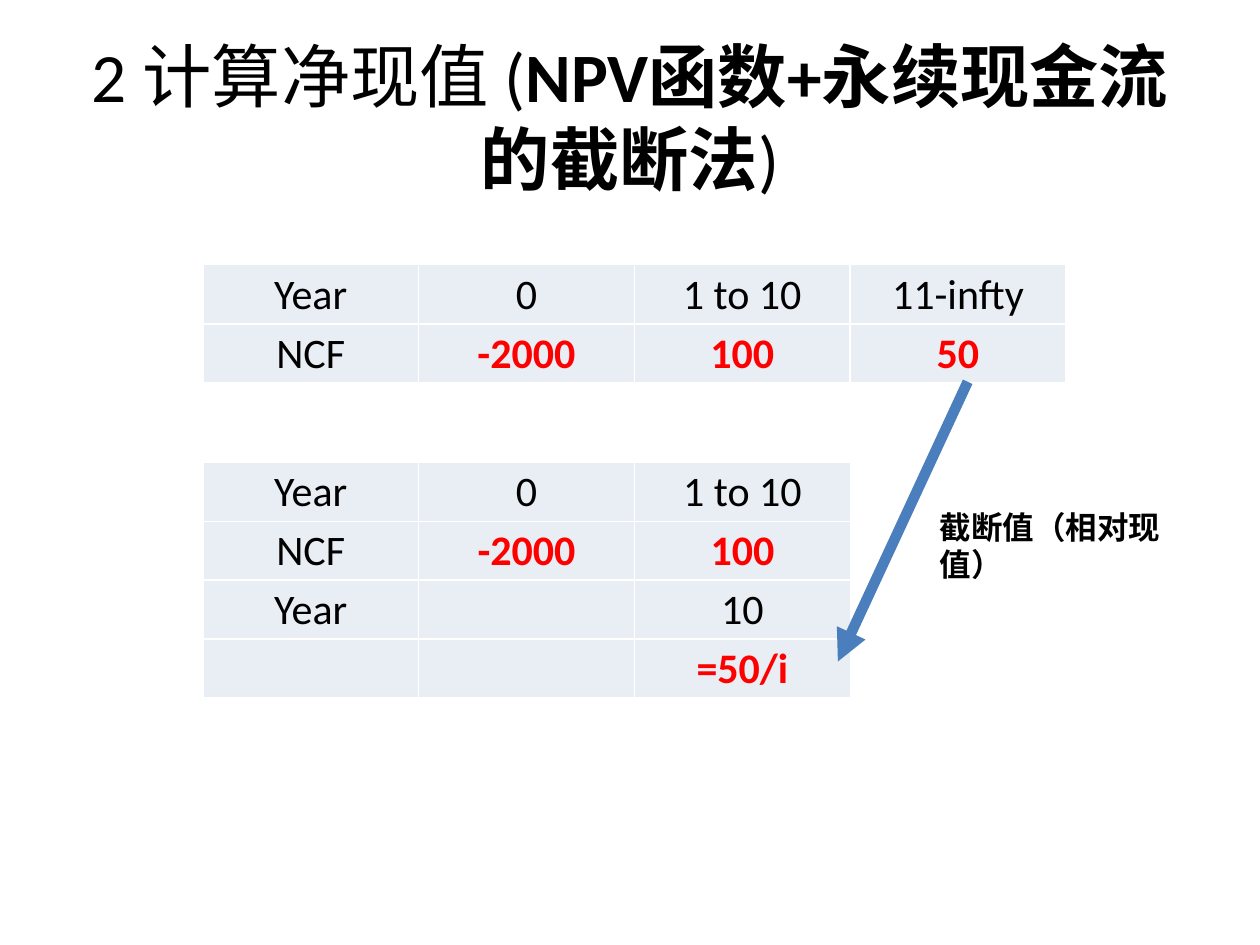
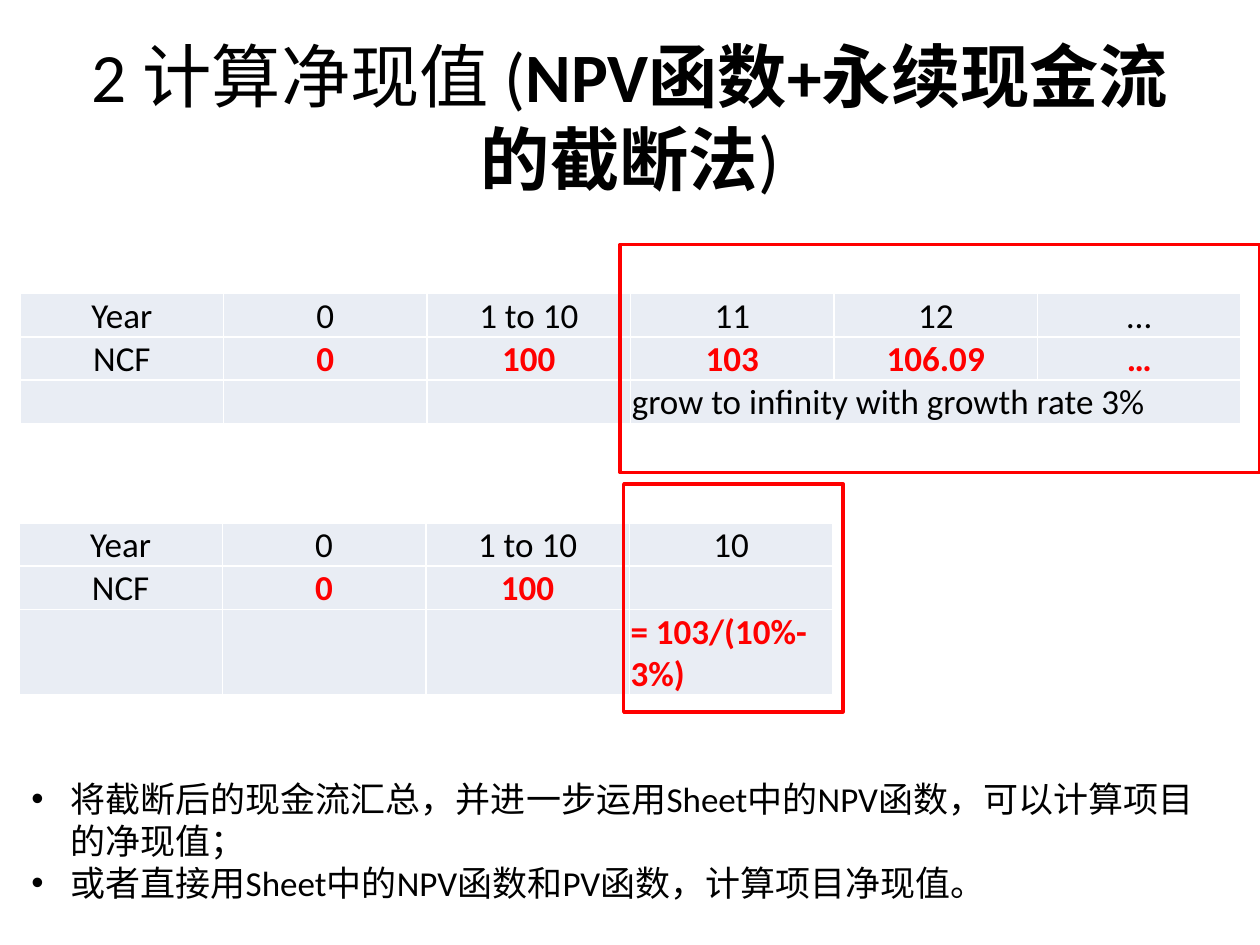
from lxml.etree import SubElement
from pptx import Presentation
from pptx.dml.color import RGBColor
from pptx.enum.shapes import MSO_CONNECTOR as CONN, MSO_SHAPE as SHAPE
from pptx.enum.text import MSO_ANCHOR as ANCHOR, PP_ALIGN as ALIGN
from pptx.oxml.ns import qn
from pptx.util import Inches, Pt

COLORS = {"text": "000000", "value": "FF0000", "cell": "E9EDF4",
          "border": "FFFFFF", "arrow": "4B7EBC"}
FONT = "Calibri"
TITLE = [("2 计算净现值 (", False), ("NPV函数+永续现金流的截断法", True), (")", False)]


def rgb(name):
    """Look up a palette colour."""
    return RGBColor.from_string(COLORS[name])


def set_font(p, size, color="text", bold=False):
    """Apply the deck font to a paragraph."""
    p.font.name, p.font.size, p.font.bold = FONT, Pt(size), bold
    p.font.color.rgb = rgb(color)


def add_text_frame(slide, box):
    """Add a wrapping text box and return its frame."""
    tf = slide.shapes.add_textbox(*map(Inches, box)).text_frame
    tf.word_wrap = True
    return tf


def add_title(slide, box=(0.5, 0.3, 9, 1.25)):
    """Add the title shared by both slides."""
    tf = add_text_frame(slide, box)
    tf.vertical_anchor = ANCHOR.MIDDLE
    p = tf.paragraphs[0]
    p.alignment = ALIGN.CENTER
    set_font(p, 39.6)
    for text, bold in TITLE:
        r = p.add_run()
        r.text, r.font.bold = text, bold


def style_cell(cell, anchor):
    """Give a cell its borders, fill, margins and anchor."""
    tc_pr = cell._tc.get_or_add_tcPr()
    for side in ("lnL", "lnR", "lnT", "lnB"):
        ln = SubElement(tc_pr, qn(f"a:{side}"), w=str(Pt(1)))
        fill = SubElement(ln, qn("a:solidFill"))
        SubElement(fill, qn("a:srgbClr"), val=COLORS["border"])
    cell.fill.solid()
    cell.fill.fore_color.rgb = rgb("cell")
    cell.margin_left = cell.margin_right = cell.margin_top = Inches(0.01)
    cell.margin_bottom = 0
    cell.vertical_anchor = anchor


def add_cash_flow_table(slide, box, rows, size, anchor, note=None):
    """Add a cash flow table; a note cell is left-aligned and runs to the row end."""
    n_cols = len(rows[0])
    frame = slide.shapes.add_table(len(rows), n_cols, *map(Inches, box))
    table = frame.table
    table.first_row = table.horz_banding = False
    for i, row in enumerate(rows):
        for j, text in enumerate(row):
            cell = table.cell(i, j)
            style_cell(cell, anchor)
            p = cell.text_frame.paragraphs[0]
            p.text = text
            p.alignment = ALIGN.LEFT if (i, j) == note else ALIGN.CENTER
            is_value = text.startswith("=") or (row[0] == "NCF" and j > 0)
            set_font(p, size, "value" if is_value else "text", is_value)
    if note and note[1] < n_cols - 1:
        table.cell(*note).merge(table.cell(note[0], n_cols - 1))


def add_arrow(slide, start, end):
    """Draw the thick arrow from the perpetuity to its truncated value."""
    line = slide.shapes.add_connector(CONN.STRAIGHT, *map(Inches, start + end))
    line.line.color.rgb = rgb("arrow")
    line.line.width = Pt(6)
    SubElement(line.line._get_or_add_ln(), qn("a:tailEnd"), type="triangle")
    SubElement(line._element.spPr, qn("a:effectLst"))


def add_highlight(slide, box):
    """Draw an unfilled frame around the truncated cash flows."""
    sp = slide.shapes.add_shape(SHAPE.RECTANGLE, *map(Inches, box))
    sp.shadow.inherit = False
    sp.fill.background()
    sp.line.color.rgb = rgb("value")
    sp.line.width = Pt(2)


def add_bullets(slide, box, items):
    """Add a bulleted list."""
    tf = add_text_frame(slide, box)
    for i, text in enumerate(items):
        p = tf.add_paragraph() if i else tf.paragraphs[0]
        p.text = text
        p_pr = p._p.get_or_add_pPr()
        p_pr.set("marL", str(Inches(0.31)))
        p_pr.set("indent", str(-Inches(0.31)))
        SubElement(p_pr, qn("a:buFont"), typeface="Arial")
        SubElement(p_pr, qn("a:buChar"), char="•")
        set_font(p, 20)


def build_level_slide(slide):
    """Build the slide with a level perpetuity."""
    add_title(slide)
    add_cash_flow_table(slide, (1.61, 2.1, 6.85, 0.94), [
        ["Year", "0", "1 to 10", "11-infty"],
        ["NCF", "-2000", "100", "50"]], 24, ANCHOR.MIDDLE)
    add_cash_flow_table(slide, (1.61, 3.67, 5.14, 1.87), [
        ["Year", "0", "1 to 10"],
        ["NCF", "-2000", "100"],
        ["Year", "", "10"],
        ["", "", "=50/i"]], 24, ANCHOR.MIDDLE)
    p = add_text_frame(slide, (7.36, 3.98, 2.34, 0.4)).paragraphs[0]
    p.text = "截断值（相对现值）"
    set_font(p, 18, bold=True)
    add_arrow(slide, (7.68, 3.03), (6.65, 5.25))


def build_growth_slide(slide):
    """Build the slide with a growing perpetuity."""
    add_title(slide)
    add_cash_flow_table(slide, (0.16, 2.33, 9.69, 1.02), [
        ["Year", "0", "1 to 10", "11", "12", "…"],
        ["NCF", "0", "100", "103", "106.09", "…"],
        ["", "", "", "grow to infinity with growth rate 3%", "", ""]],
        20, ANCHOR.BOTTOM, note=(2, 3))
    add_cash_flow_table(slide, (0.15, 4.15, 6.46, 1.02), [
        ["Year", "0", "1 to 10", "10"],
        ["NCF", "0", "100", ""],
        ["", "", "", "= 103/(10%-3%)"]], 20, ANCHOR.BOTTOM, note=(2, 3))
    add_highlight(slide, (4.92, 1.94, 5.08, 1.81))
    add_highlight(slide, (4.95, 3.84, 1.74, 1.81))
    add_bullets(slide, (0.15, 6.12, 9.69, 1.11), [
        "将截断后的现金流汇总，并进一步运用Sheet中的NPV函数，可以计算项目的净现值；",
        "或者直接用Sheet中的NPV函数和PV函数，计算项目净现值。"])


def main():
    """Build and save the deck."""
    prs = Presentation()
    prs.slide_width, prs.slide_height = Inches(10), Inches(7.5)
    for build in (build_level_slide, build_growth_slide):
        build(prs.slides.add_slide(prs.slide_layouts[6]))
    prs.save("out.pptx")


if __name__ == "__main__":
    main()
